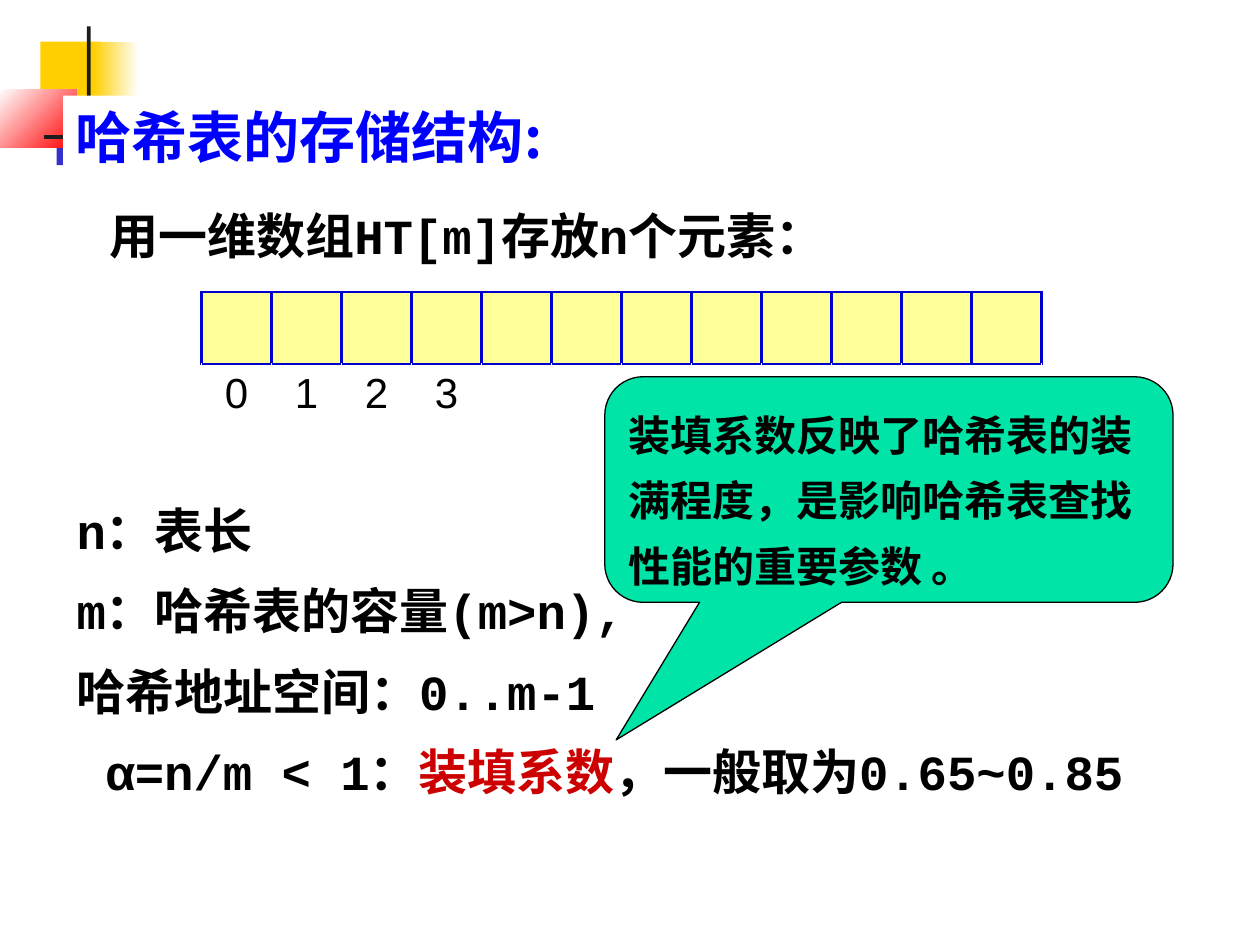
from lxml import etree
from pptx import Presentation
from pptx.dml.color import RGBColor
from pptx.enum.shapes import MSO_SHAPE
from pptx.enum.text import MSO_ANCHOR, MSO_AUTO_SIZE, PP_ALIGN
from pptx.oxml.ns import qn
from pptx.util import Inches, Pt

CJK_FONT = "Noto Sans CJK SC"
CODE_FONT = "Courier New"


def set_color(color_format, value):
    """Give a color format a hex RGB value."""
    color_format.rgb = RGBColor.from_string(value)


def fill_solid(fill, value):
    """Fill with one color."""
    fill.solid()
    set_color(fill.fore_color, value)


def add_shape(slide, kind, box):
    """Add a preset shape without shadow or outline."""
    shape = slide.shapes.add_shape(kind, *map(Inches, box))
    shape.shadow.inherit = False
    shape.line.fill.background()
    return shape


def add_block(slide, box, colors, angle=0):
    """Add a rectangle in one color or in a clockwise-angled gradient."""
    fill = add_shape(slide, MSO_SHAPE.RECTANGLE, box).fill
    if len(colors) == 1:
        fill_solid(fill, colors[0])
        return
    fill.gradient()
    fill.gradient_angle = (360 - angle) % 360
    for stop, color in zip(fill.gradient_stops, colors):
        set_color(stop.color, color)


def add_decoration(slide):
    """Add the colored blocks and bars in the corner."""
    add_block(slide, (0.32, 0.33, 0.48, 0.52), ["FFCF01"])
    add_block(slide, (0.74, 0.33, 0.36, 0.52), ["FFCF01", "FFFFFF"])
    add_block(slide, (0.45, 0.79, 0.46, 0.52), ["3333CC"])
    add_block(slide, (0, 0.71, 0.61, 0.46), ["FFFFFF", "FF0000"], 45)
    add_block(slide, (0.69, 0.21, 0.03, 1.15), ["1C1C1C"])
    add_block(slide, (0.35, 1.07, 9, 0.03), ["1C1C1C", "FFFFFF"])


def prepare_frame(shape):
    """Make a text frame wrap from the top at a fixed size."""
    frame = shape.text_frame
    frame.word_wrap = True
    frame.auto_size = MSO_AUTO_SIZE.NONE
    frame.vertical_anchor = MSO_ANCHOR.TOP
    return frame


def write_paragraph(paragraph, runs, size, font, before, spacing=1.0, margin=0):
    """Write bold colored runs with a left margin and no bullet."""
    paragraph.alignment = PP_ALIGN.LEFT
    paragraph.line_spacing = spacing
    paragraph.space_before = Pt(before)
    paragraph.font.size = Pt(size)
    paragraph.font.bold = True
    properties = paragraph._p.get_or_add_pPr()
    properties.set("marL", str(Inches(margin)))
    properties.set("indent", "0")
    etree.SubElement(properties, qn("a:buNone"))
    properties.append(properties.find(qn("a:defRPr")))
    for text, color in runs:
        run = paragraph.add_run()
        run.text = text
        run.font.size = Pt(size)
        run.font.bold = True
        run.font.name = font
        set_color(run.font.color, color)
        east_asian = etree.Element(qn("a:ea"), typeface=CJK_FONT)
        run.font._element.find(qn("a:latin")).addnext(east_asian)


def add_heading(slide):
    """Place the heading and lead sentence in the body placeholder."""
    body = slide.placeholders[1]
    slide.shapes._spTree.append(body._element)
    body.left, body.top, body.width, body.height = map(Inches, (0.5, 0.76, 9, 1.56))
    fill_solid(body.fill, "FFFFFF")
    frame = prepare_frame(body)
    write_paragraph(frame.paragraphs[0], [("哈希表的存储结构:", "0000FF")],
                    32, CJK_FONT, 6.4)
    write_paragraph(frame.add_paragraph(), [("用一维数组HT[m]存放n个元素：", "000000")],
                    28, CODE_FONT, 14, 1.2, 0.27)


def add_border(cell, sides):
    """Draw blue borders on the named sides of a cell."""
    properties = cell._tc.get_or_add_tcPr()
    for position, side in enumerate(sides):
        line = etree.Element(qn(f"a:ln{side}"), w=str(Pt(1.5)))
        fill = etree.SubElement(line, qn("a:solidFill"))
        etree.SubElement(fill, qn("a:srgbClr"), val="0000CC")
        properties.insert(position, line)


def write_index(cell, text, alignment):
    """Write an array index below its slot."""
    paragraph = cell.text_frame.paragraphs[0]
    paragraph.text = text
    paragraph.alignment = alignment
    paragraph.space_before = Pt(4.8)
    paragraph.font.size = Pt(24)
    paragraph.font.name = "Arial"
    set_color(paragraph.font.color, "000000")


def add_array(slide, count=12):
    """Add the array slots with their indices."""
    box = map(Inches, (1.6, 2.32, 6.67, 1.07))
    table = slide.shapes.add_table(2, count, *box).table
    table.first_row = table.horz_banding = False
    table.rows[0].height, table.rows[1].height = Inches(0.57), Inches(0.5)
    for column in range(count):
        table.columns[column].width = Inches(6.67 / count)
        slot, label = table.cell(0, column), table.cell(1, column)
        fill_solid(slot.fill, "FFFF99")
        add_border(slot, "LRTB")
        label.fill.background()
        add_border(label, "T")
        if column < 4:
            write_index(label, str(column), PP_ALIGN.CENTER)
    last = table.cell(1, count - 2)
    last.merge(table.cell(1, count - 1))
    last.margin_right = 0
    write_index(last, "m－1", PP_ALIGN.RIGHT)


def add_definitions(slide):
    """Add the definitions of the table's parameters."""
    box = map(Inches, (0.51, 3.83, 8.86, 2.95))
    frame = prepare_frame(slide.shapes.add_textbox(*box))
    definitions = [
        ([("n：表长", "000000")], 0),
        ([("m：哈希表的容量(m>n),", "000000")], 0),
        ([("哈希地址空间：0..m-1", "000000")], 0),
        ([("α=n/m < 1：", "000000"), ("装填系数", "CC0000"),
          ("，一般取为0.65~0.85", "000000")], 0.23),
    ]
    for number, (runs, margin) in enumerate(definitions):
        paragraph = frame.add_paragraph() if number else frame.paragraphs[0]
        write_paragraph(paragraph, runs, 28, CODE_FONT, 5.6, 1.2, margin)


def add_callout(slide):
    """Add the callout that explains the load factor."""
    callout = add_shape(slide, MSO_SHAPE.ROUNDED_RECTANGULAR_CALLOUT,
                        (4.8, 2.99, 4.51, 1.79))
    for number, value in enumerate((-0.48, 1.11, 0.17)):
        callout.adjustments[number] = value
    fill_solid(callout.fill, "00E4A8")
    fill_solid(callout.line.fill, "000000")
    callout.line.width = Pt(0.75)
    text = "装填系数反映了哈希表的装满程度，是影响哈希表查找性能的重要参数 。"
    write_paragraph(prepare_frame(callout).paragraphs[0], [(text, "000000")],
                    24, CJK_FONT, 9.6, 1.3)


def main():
    """Build and save the slide."""
    presentation = Presentation()
    presentation.slide_width, presentation.slide_height = Inches(10), Inches(7.5)
    slide = presentation.slides.add_slide(presentation.slide_layouts[1])
    title = slide.shapes.title._element
    title.getparent().remove(title)
    add_decoration(slide)
    add_heading(slide)
    add_array(slide)
    add_definitions(slide)
    add_callout(slide)
    presentation.save("out.pptx")


if __name__ == "__main__":
    main()
